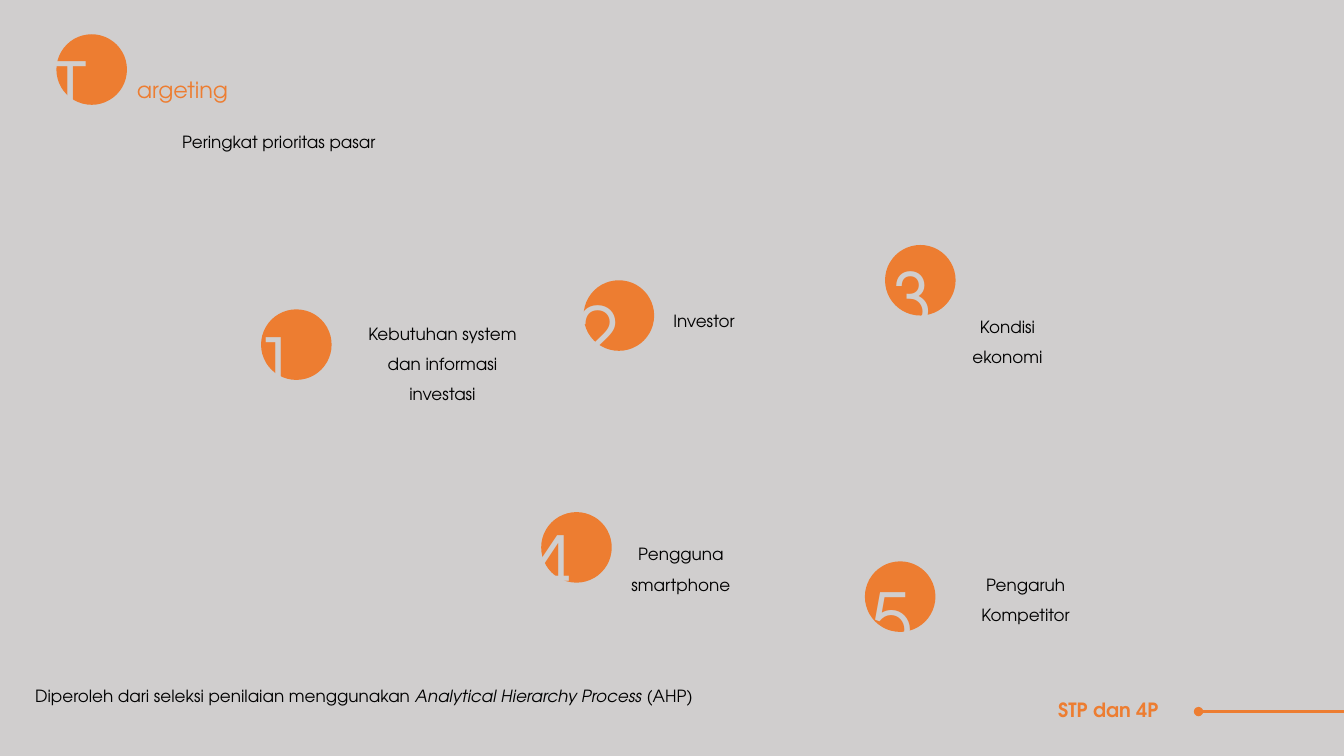
"""Builds the Targeting slide with five ranked market priorities."""
from lxml import etree
from pptx import Presentation
from pptx import util as u
from pptx.dml import color
from pptx.enum import shapes, text
from pptx.oxml import ns

ORANGE, GREY, BLACK = "ED7D31", "D0CECE", "000000"
FONT = "TeX Gyre Adventor"
WIDTH, HEIGHT = 960, 540
DISC = 50.4


def rgb(value):
    return color.RGBColor.from_string(value)


class Deck:
    def __init__(self):
        self.prs = Presentation()
        self.prs.slide_width, self.prs.slide_height = u.Pt(WIDTH), u.Pt(HEIGHT)
        self.s = self.prs.slides.add_slide(self.prs.slide_layouts[6])
        fill = self.s.background.fill
        fill.solid()
        fill.fore_color.rgb = rgb(GREY)

    def text(self, x, y, w, h, runs, size=12, ink=BLACK, bold=False, spacing=1.0,
             align=text.PP_ALIGN.LEFT, anchor=text.MSO_ANCHOR.TOP, grow=False):
        tf = self.s.shapes.add_textbox(u.Pt(x), u.Pt(y), u.Pt(w), u.Pt(h)).text_frame
        tf.word_wrap = True
        tf.vertical_anchor = anchor
        if grow:
            tf.auto_size = text.MSO_AUTO_SIZE.SHAPE_TO_FIT_TEXT
        p = tf.paragraphs[0]
        p.alignment, p.line_spacing = align, spacing
        p.font.name, p.font.size, p.font.bold = FONT, u.Pt(size), bold
        p.font.color.rgb = rgb(ink)
        for words, italic in runs:
            r = p.add_run()
            r.text = words
            if italic:
                r.font.italic = True

    def disc(self, x, y, mark, mark_x, mark_y):
        sp = self.s.shapes.add_shape(shapes.MSO_SHAPE.OVAL,
                                     u.Pt(x), u.Pt(y), u.Pt(DISC), u.Pt(DISC))
        sp.shadow.inherit = False
        sp.fill.solid()
        sp.fill.fore_color.rgb = rgb(ORANGE)
        sp.line.fill.background()
        self.text(mark_x, mark_y, 33.1, 93.6, [(mark, False)], 54, GREY, spacing=1.5)

    def label(self, x, y, w, h, words):
        self.text(x, y, w, h, [(words, False)], spacing=1.5,
                  align=text.PP_ALIGN.CENTER, grow=True)

    def dotted_line(self, x1, x2, y):
        c = self.s.shapes.add_connector(shapes.MSO_CONNECTOR.STRAIGHT,
                                        u.Pt(x1), u.Pt(y), u.Pt(x2), u.Pt(y))
        c.line.color.rgb = rgb(ORANGE)
        c.line.width = u.Pt(2.25)
        props = c._element.spPr
        etree.SubElement(props.find(ns.qn("a:ln")), ns.qn("a:headEnd"), type="oval")
        etree.SubElement(props, ns.qn("a:effectLst"))


def main():
    deck = Deck()
    deck.disc(40.3, 24.5, "T", 31.7, -5.8)
    deck.text(90.7, 41, 110.2, 47.5, [("argeting", False)], 16, ORANGE, spacing=1.5)
    deck.text(123.1, 90.7, 516.2, 21.8, [("Peringkat prioritas pasar", False)], grow=True)

    priorities = [
        ((186.5, 221), (175, 190.8), (251.3, 220.3, 129.6, 69.8),
         "Kebutuhan system dan informasi investasi"),
        ((416.9, 200.2), (405.4, 169.2), (451.4, 211, 103, 26.6), "Investor"),
        ((632.2, 175), (629.3, 144.7), (668.2, 215.3, 103, 48.2), "Kondisi ekonomi"),
        ((386.6, 365.8), (371.5, 332.6), (434.9, 378, 103, 48.2), "Pengguna smartphone"),
        ((617.8, 401), (614.9, 373), (681.1, 399.6, 103, 48.2), "Pengaruh Kompetitor"),
    ]
    for rank, (disc, mark, box, words) in enumerate(priorities, 1):
        deck.disc(*disc, str(rank), *mark)
        deck.label(*box, words)

    deck.text(18, 486, 516.2, 21.8,
              [("Diperoleh dari seleksi penilaian menggunakan ", False),
               ("Analytical Hierarchy Process", True), (" (AHP)", False)], grow=True)
    deck.text(748.8, 489.6, 195.1, 36.7, [("STP dan 4P", False)], 14, ORANGE, bold=True,
              spacing=0.9, anchor=text.MSO_ANCHOR.MIDDLE)
    deck.dotted_line(856.1, WIDTH, 508.3)
    deck.prs.save("out.pptx")


if __name__ == "__main__":
    main()
